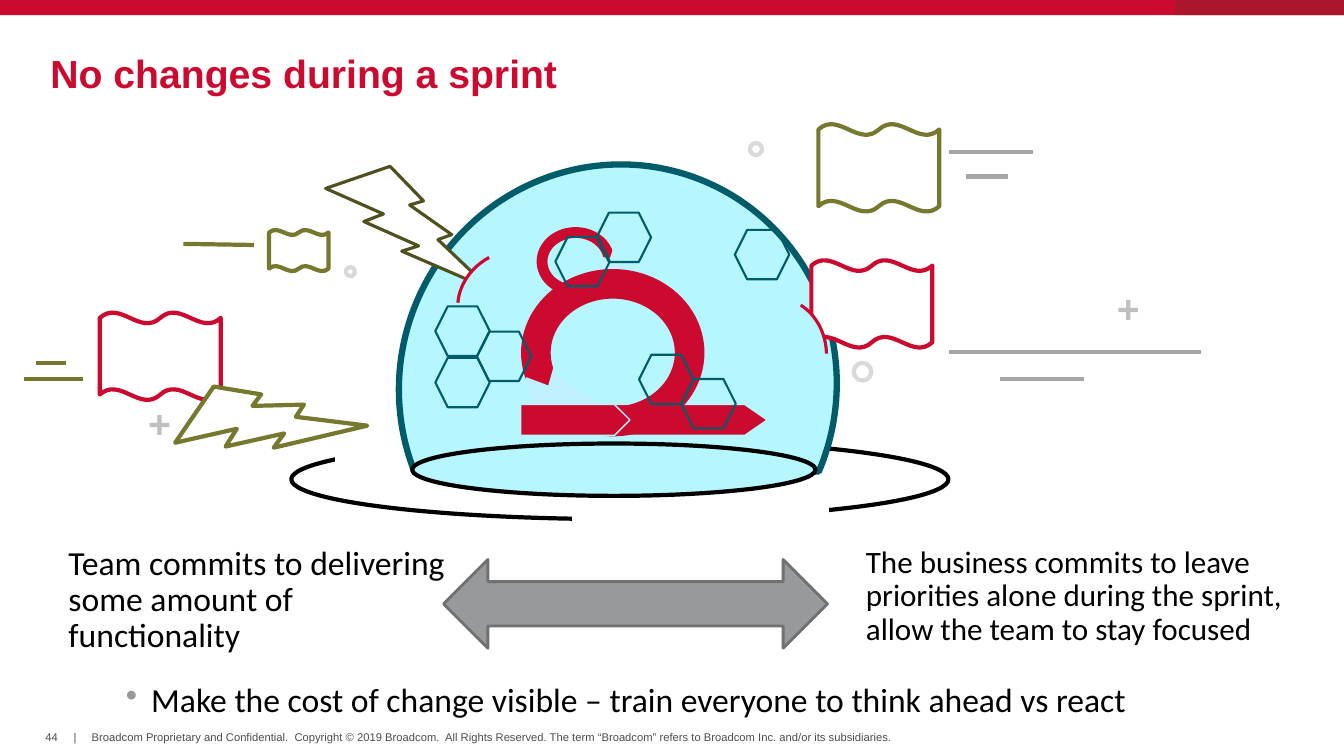
from dataclasses import dataclass
from typing import Optional

from lxml.etree import SubElement
from pptx import Presentation
from pptx.dml.color import RGBColor
from pptx.enum.shapes import MSO_CONNECTOR, MSO_SHAPE
from pptx.enum.text import MSO_ANCHOR, PP_ALIGN
from pptx.oxml.ns import qn
from pptx.util import Pt

RED, DARK_RED = "CC092F", "AB162C"
TEAL, ICE, PALE_ICE = "005C69", "B5F6FF", "C1F0FF"
OLIVE, DARK_OLIVE = "76782D", "4F501E"
BLACK, WHITE = "000000", "FFFFFF"
FOOTER_GRAY, LINE_GRAY, RING_GRAY, PLUS_GRAY = "4D4D4F", "A6A6A6", "D9D9D9", "BFBFBF"


@dataclass
class Figure:
    kind: MSO_SHAPE
    left: float
    top: float
    width: float
    height: float
    fill: Optional[str] = WHITE
    line: Optional[str] = None
    weight: float = 3
    rotation: float = 0
    adjustments: tuple = ()


@dataclass
class Outline:
    points: list
    fill: str


@dataclass
class Stroke:
    left: float
    top: float
    right: float
    bottom: float
    color: str


@dataclass
class Label:
    text: str
    left: float
    top: float
    width: float
    height: float
    size: float
    color: str = BLACK
    font: str = "Calibri"
    bold: bool = False
    wrap: bool = True
    margin: float = 0
    indent: float = 0
    bullet: str = ""
    spacing: float = 0.9
    anchor: MSO_ANCHOR = MSO_ANCHOR.TOP


def color_of(value: str) -> RGBColor:
    return RGBColor.from_string(value)


def paint(shape, fill: Optional[str], line: Optional[str], weight: float) -> None:
    shape.shadow.inherit = False
    if fill:
        shape.fill.solid()
        shape.fill.fore_color.rgb = color_of(fill)
    else:
        shape.fill.background()
    if line:
        shape.line.color.rgb = color_of(line)
        shape.line.width = Pt(weight)
    else:
        shape.line.fill.background()


def draw_figure(slide, figure: Figure) -> None:
    shape = slide.shapes.add_shape(figure.kind, Pt(figure.left), Pt(figure.top),
                                   Pt(figure.width), Pt(figure.height))
    for index, value in enumerate(figure.adjustments):
        shape.adjustments[index] = value
    shape.rotation = figure.rotation
    paint(shape, figure.fill, figure.line, figure.weight)


def draw_outline(slide, outline: Outline) -> None:
    builder = slide.shapes.build_freeform(*outline.points[0], scale=Pt(1))
    builder.add_line_segments(outline.points[1:], close=True)
    paint(builder.convert_to_shape(), outline.fill, ICE, 1)


def draw_stroke(slide, stroke: Stroke) -> None:
    connector = slide.shapes.add_connector(MSO_CONNECTOR.STRAIGHT, Pt(stroke.left), Pt(stroke.top),
                                           Pt(stroke.right), Pt(stroke.bottom))
    connector.line.color.rgb = color_of(stroke.color)
    connector.line.width = Pt(3)
    SubElement(connector._element.spPr, qn("a:effectLst"))


def write_label(shape, label: Label) -> None:
    shape.left, shape.top = Pt(label.left), Pt(label.top)
    shape.width, shape.height = Pt(label.width), Pt(label.height)
    frame = shape.text_frame
    frame.text = label.text
    frame.word_wrap = label.wrap
    frame.vertical_anchor = label.anchor
    frame.margin_left = frame.margin_top = frame.margin_right = frame.margin_bottom = 0
    paragraph = frame.paragraphs[0]
    paragraph.alignment = PP_ALIGN.LEFT
    paragraph.line_spacing = label.spacing
    properties = paragraph._p.get_or_add_pPr()
    properties.set("marL", str(Pt(label.margin)))
    properties.set("indent", str(Pt(label.indent)))
    if label.bullet:
        bullet_color = SubElement(properties, qn("a:buClr"))
        SubElement(bullet_color, qn("a:srgbClr"), val="999999")
        SubElement(properties, qn("a:buChar"), char=label.bullet)
    font = paragraph.runs[0].font
    font.name, font.size, font.bold = label.font, Pt(label.size), label.bold
    font.color.rgb = color_of(label.color)


def footer(text: str, left: float, width: float) -> Label:
    return Label(text, left, 522, width, 9.4, 8, FOOTER_GRAY, "Arial",
                 wrap=False, spacing=1, anchor=MSO_ANCHOR.MIDDLE)


def plus(left: float, top: float) -> Label:
    return Label("+", left, top, 17.3, 29.5, 28, PLUS_GRAY, "Arial", bold=True, wrap=False)


def wave(left: float, top: float, color: str, width: float = 86.4, height: float = 62.6) -> Figure:
    return Figure(MSO_SHAPE.DOUBLE_WAVE, left, top, width, height, line=color)


def ring(left: float, top: float, size: float) -> Figure:
    return Figure(MSO_SHAPE.FLOWCHART_CONNECTOR, left, top, size, size, line=RING_GRAY)


def bolt(left: float, top: float, color: str, weight: float, rotation: float = 0) -> Figure:
    return Figure(MSO_SHAPE.LIGHTNING_BOLT, left, top, 117.4, 87.8, WHITE, color, weight, rotation)


def impact(left: float, top: float, rotation: float) -> Figure:
    return Figure(MSO_SHAPE.ARC, left, top, 69.8, 80.6, ICE, RED, 2.25, rotation, (177.673, 0))


def arrow_outline(left: float, shoulder: float, tip: float) -> Outline:
    top, middle, bottom = 289.4, 300.2, 311
    return Outline([(left, top), (shoulder, top), (tip, middle), (shoulder, bottom), (left, bottom)], RED)


TITLE = Label("No changes during a sprint", 36, 40.3, 895, 28.8, 28, RED, "Arial",
              bold=True, spacing=0.85, anchor=MSO_ANCHOR.MIDDLE)

BACKGROUND = [
    Figure(MSO_SHAPE.RECTANGLE, 0, 0, 960, 10.8, RED),
    Figure(MSO_SHAPE.RECTANGLE, 839.5, 0, 120.5, 10.8, DARK_RED),
    Figure(MSO_SHAPE.OVAL, 208.1, 313.9, 469.4, 56.9, WHITE, BLACK),
    Figure(MSO_SHAPE.RECTANGLE, 239.8, 255.6, 77, 82.8, WHITE, WHITE, 1.5),
    Figure(MSO_SHAPE.CHORD, 282.2, 120.2, 318.2, 311.8, ICE, TEAL, 4.5, 112.9),
    Figure(MSO_SHAPE.OVAL, 294.5, 316.8, 288, 37.4, ICE, BLACK),
    bolt(232.6, 118.8, DARK_OLIVE, 2.25),
    impact(331.2, 174.2, 241.4),
    Figure(MSO_SHAPE.RECTANGLE, 409, 357.8, 182.2, 47.5, WHITE, WHITE, 1.5),
]

STROKES = [
    Stroke(131, 174.2, 181.4, 175, OLIVE),
    Stroke(25.9, 259.2, 46.8, 259.2, OLIVE),
    Stroke(17.3, 270.7, 59, 270.7, OLIVE),
    Stroke(714.2, 270.7, 774, 270.7, LINE_GRAY),
    Stroke(678.2, 251.3, 858.2, 251.3, LINE_GRAY),
    Stroke(678.2, 108.7, 738, 108.7, LINE_GRAY),
    Stroke(689.8, 126, 720, 126, LINE_GRAY),
]

SPRINT_LOOP = [
    arrow_outline(438.5, 532.1, 547.9),
    Figure(MSO_SHAPE.DONUT, 383.8, 162.7, 54.7, 48.2, RED, RED, 1, adjustments=(0.14,)),
    Outline([(438.5, 178.6), (450.7, 198.7), (449.3, 205.9), (427, 202.3),
             (429.8, 183.6), (436.3, 185)], PALE_ICE),
    Figure(MSO_SHAPE.DONUT, 372.2, 192.2, 131, 119.5, RED, adjustments=(0.177,)),
    Outline([(396, 262.1), (402, 271.2), (411, 277.9), (429.1, 286.6), (425.9, 297),
             (425.5, 303.8), (396, 301.7), (385, 299), (379, 289), (375.8, 270),
             (392.4, 275.8)], PALE_ICE),
    arrow_outline(372.2, 439.2, 450),
]

INTERRUPTIONS = [
    wave(584.6, 88.6, OLIVE),
    wave(71.3, 223.2, RED),
    wave(192.2, 164.2, OLIVE, 42.5, 29.5),
    ring(247, 190.8, 6.5),
    ring(535.7, 102.2, 8.6),
    ring(609.8, 259.2, 12.6),
    bolt(130.3, 259.9, OLIVE, 3, 323.4),
    wave(579.6, 185.8, RED),
    impact(520.6, 213.1, 358.8),
]

HEXAGON_CORNERS = [(311, 255.6), (311, 218.9), (340.6, 236.9), (524.9, 164.2),
                   (456.5, 253.4), (486.7, 270.7), (396.7, 169.2), (426.2, 151.9)]
HEXAGONS = [Figure(MSO_SHAPE.HEXAGON, left, top, 38.9, 35.3, None, TEAL, 1.5)
            for left, top in HEXAGON_CORNERS]
COMMITMENT_ARROW = Figure(MSO_SHAPE.LEFT_RIGHT_ARROW, 316.8, 399.6, 274.3, 63.4, "97999B", "707173", 2)

LABELS = [
    footer("44", 32.4, 10.1),
    footer("|", 52.6, 2.2),
    footer("Broadcom Proprietary and Confidential.  Copyright © 2019 Broadcom.  All Rights Reserved. "
           "The term “Broadcom” refers to Broadcom Inc. and/or its subsidiaries.", 65.5, 576.7),
    plus(105.8, 288.7),
    plus(797.8, 206.6),
    Label("Team commits to delivering some amount of functionality",
          12.2, 390.2, 317.5, 100.1, 24, margin=36.7),
    Label("The business commits to leave priorities alone during the sprint, "
          "allow the team to stay focused", 581.8, 390.2, 341.3, 74.2, 22.2, margin=36.7),
    Label("Make the cost of change visible – train everyone to think ahead vs react",
          53.3, 488.2, 869.8, 64.1, 24, margin=54.7, indent=-18, bullet="•"),
]


def main() -> None:
    presentation = Presentation()
    presentation.slide_width, presentation.slide_height = Pt(960), Pt(540)
    slide = presentation.slides.add_slide(presentation.slide_layouts[5])
    write_label(slide.shapes.title, TITLE)
    painters = {Figure: draw_figure, Outline: draw_outline, Stroke: draw_stroke}
    for item in [*BACKGROUND, *STROKES, *SPRINT_LOOP, *INTERRUPTIONS, *HEXAGONS, COMMITMENT_ARROW]:
        painters[type(item)](slide, item)
    for label in LABELS:
        write_label(slide.shapes.add_textbox(0, 0, 0, 0), label)
    presentation.save("out.pptx")


if __name__ == "__main__":
    main()
